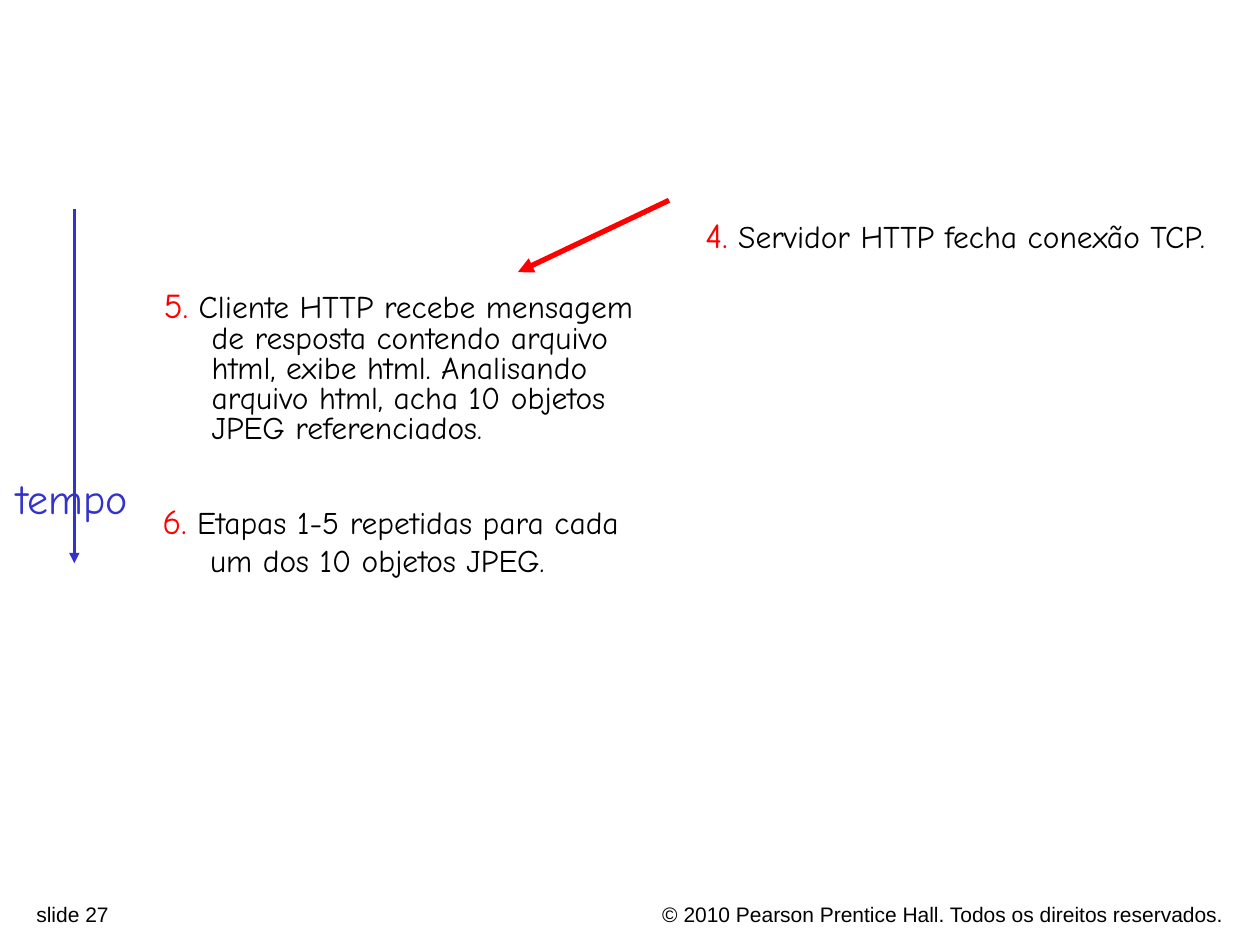
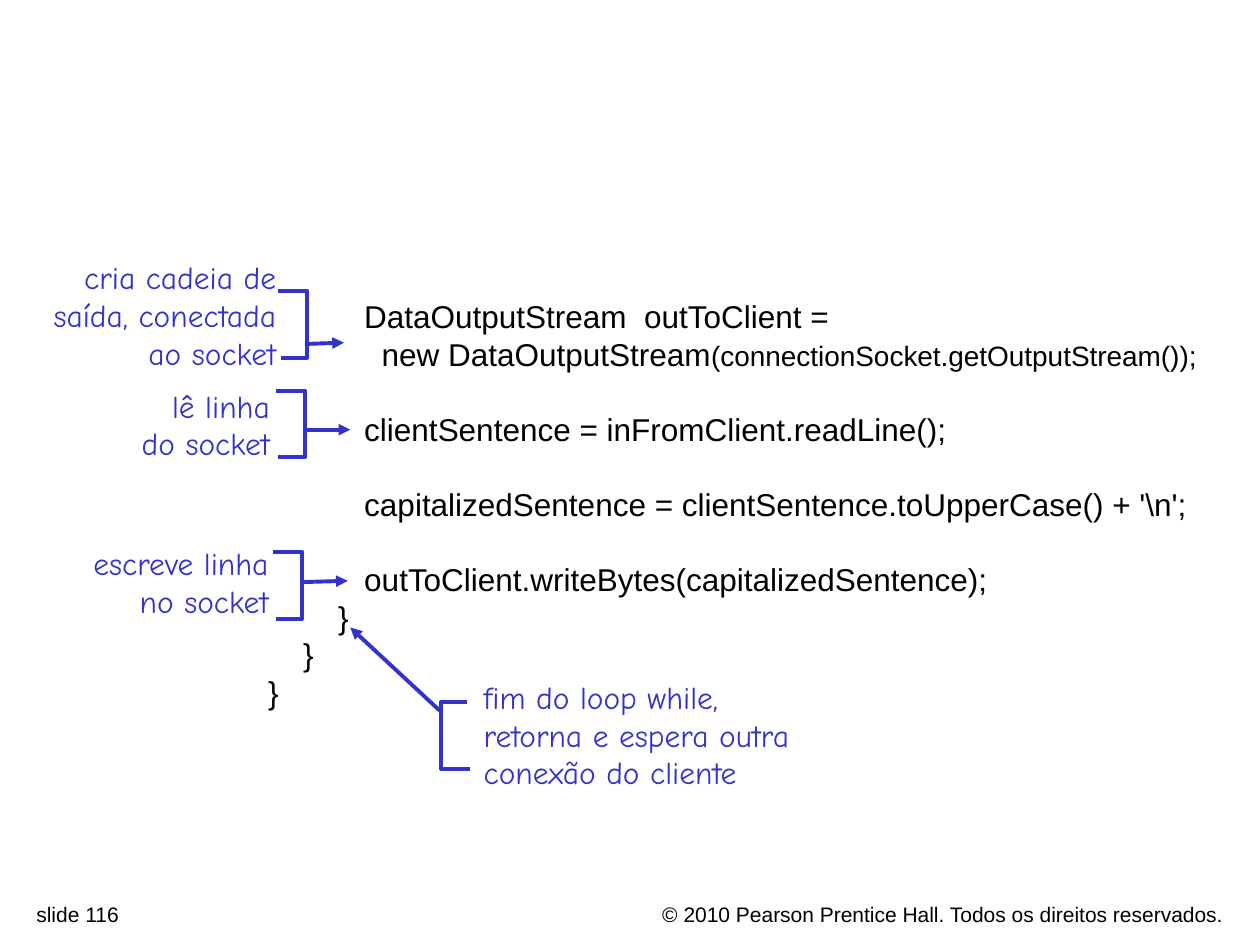
from lxml.etree import SubElement
from pptx import Presentation
from pptx.dml.color import RGBColor
from pptx.enum.shapes import MSO_CONNECTOR
from pptx.enum.text import MSO_ANCHOR as Anchor, MSO_AUTO_SIZE, PP_ALIGN as Align
from pptx.oxml.ns import qn
from pptx.util import Inches, Pt

BLACK, RED, BLUE = "000000", "FF0000", "3333CC"
SANS, COMIC = "Arial", "Comic Neue"
LINE = 21.5  # line pitch of 18 pt text, in points
COPYRIGHT = "© 2010 Pearson Prentice Hall. Todos os direitos reservados."

# Steps: number, text, (left, top, width, height), line pitch
RECEIVE_STEP = ("5", "Cliente HTTP recebe mensagem de resposta contendo arquivo html, "
                "exibe html. Analisando arquivo html, acha 10 objetos JPEG referenciados.",
                (1.2, 2.29, 4.17, 1.6), 17.3)
OTHER_STEPS = [
    ("6", "Etapas 1-5 repetidas para cada um dos 10 objetos JPEG.",
     (1.19, 3.95, 4.17, 0.73), LINE),
    ("4", "Servidor HTTP fecha conexão TCP.", (5.5, 1.68, 4.17, 0.8), LINE),
]

# Each group of code lines is set off from the one before by one line
CODE_GROUPS = [
    ["           DataOutputStream  outToClient =",
     [("             new DataOutputStream", {}),
      ("(connectionSocket.getOutputStream());", {"size": 16})]],
    ["           clientSentence = inFromClient.readLine();"],
    ["           capitalizedSentence = clientSentence.toUpperCase() + '\\n';"],
    ["           outToClient.writeBytes(capitalizedSentence);",
     "        }", "    }", "}"],
]

# Labels: lines, box, alignment, bracket (tip x, spine x, top), arrow (start, end)
CODE_LABELS = [
    (["cria cadeia de", "saída, conectada", "ao socket"], (0, 2, 2.29, 1),
     Align.RIGHT, (2.21, 2.44, 2.31), ((2.42, 2.73), (2.73, 2.72))),
    (["lê linha", "do socket"], (1.02, 3.02, 1.22, 0.7),
     Align.RIGHT, (2.19, 2.42, 3.1), ((2.42, 3.41), (2.78, 3.41))),
    (["escreve linha", "no socket"], (0.63, 4.27, 1.6, 0.7),
     Align.RIGHT, (2.17, 2.4, 4.38), ((2.4, 4.62), (2.76, 4.61))),
    (["fim do loop while,", "retorna e espera outra", "conexão do cliente"],
     (3.74, 5.33, 2.64, 1), Align.LEFT, (3.71, 3.5, 5.57), ((3.49, 5.64), (2.78, 4.98))),
]


def rgb(color):
    return RGBColor.from_string(color)


def inches(values):
    return [Inches(value) for value in values]


def add_span(para, text, size=18, font=SANS, color=BLACK):
    span = para.add_run()
    span.text = text
    span.font.size = Pt(size)
    span.font.name = font
    span.font.color.rgb = rgb(color)


def prepare_frame(box, anchor=Anchor.TOP, wrap=True):
    frame = box.text_frame
    frame.auto_size = MSO_AUTO_SIZE.NONE
    frame.word_wrap = wrap
    frame.vertical_anchor = anchor
    return frame


def add_text(slide, lines, place, align=Align.LEFT, anchor=Anchor.TOP,
             wrap=True, pitch=None, **style):
    """Write lines, each a string or a list of (text, style) spans, in a new box."""
    frame = prepare_frame(slide.shapes.add_textbox(*inches(place)), anchor, wrap)
    for index, line in enumerate(lines):
        para = frame.add_paragraph() if index else frame.paragraphs[0]
        para.alignment = align
        if pitch:
            para.line_spacing = Pt(pitch)
        spans = [(line, {})] if isinstance(line, str) else line
        for text, own_style in spans:
            add_span(para, text, **{**style, **own_style})
    return frame


def add_arrow(slide, start, end, color=BLUE, width=2.25):
    arrow = slide.shapes.add_connector(MSO_CONNECTOR.STRAIGHT, *inches(start + end))
    arrow.line.color.rgb = rgb(color)
    arrow.line.width = Pt(width)
    SubElement(arrow.line._get_or_add_ln(), qn("a:tailEnd"), type="triangle")
    SubElement(arrow._element.spPr, qn("a:effectLst"))


def add_bracket(slide, tip, spine, top, height=0.53):
    bottom = top + height
    corners = [(spine, top), (spine, bottom), (tip + 0.02, bottom)]
    outline = slide.shapes.build_freeform(Inches(tip), Inches(top))
    outline.add_line_segments([inches(corner) for corner in corners], close=False)
    bracket = outline.convert_to_shape()
    bracket.shadow.inherit = False
    bracket.fill.background()
    bracket.line.color.rgb = rgb(BLUE)
    bracket.line.width = Pt(2.25)


def fill_step(box, number, text, pitch):
    """Write a red number and its text with a hanging indent."""
    para = prepare_frame(box).paragraphs[0]
    properties = para._p.get_or_add_pPr()
    properties.set("marL", str(Inches(0.38)))
    properties.set("indent", str(-Inches(0.38)))
    SubElement(properties, qn("a:buNone"))
    para.alignment = Align.LEFT
    para.line_spacing = Pt(pitch)
    para.space_before = Pt(0)
    add_span(para, number + ".", size=20, font=COMIC, color=RED)
    add_span(para, " " + text, font=COMIC)


def add_page(deck, layout, number):
    page = deck.slides.add_slide(deck.slide_layouts[layout])
    add_text(page, [COPYRIGHT], (4.7, 7.11, 5.11, 0.24), align=Align.RIGHT, size=12)
    add_text(page, [f"slide {number}"], (0.19, 7.11, 3.52, 0.23), size=12)
    return page


def build_http_page(deck):
    page = add_page(deck, 1, 27)
    title = page.shapes.title._element
    title.getparent().remove(title)

    number, text, place, pitch = RECEIVE_STEP
    body = page.placeholders[1]
    body.left, body.top, body.width, body.height = inches(place)
    fill_step(body, number, text, pitch)
    for number, text, place, pitch in OTHER_STEPS:
        fill_step(page.shapes.add_textbox(*inches(place)), number, text, pitch)

    add_arrow(page, (0.59, 1.66), (0.59, 4.47), width=1.5)
    add_text(page, ["tempo"], (0.03, 3.7, 1.09, 0.5), align=Align.CENTER,
             wrap=False, size=24, font=COMIC, color=BLUE)
    add_arrow(page, (5.31, 1.59), (4.11, 2.16), color=RED, width=3)


def build_code_page(deck):
    page = add_page(deck, 6, 116)
    code_lines = [line for group in CODE_GROUPS for line in group]
    frame = add_text(page, code_lines, (2.03, 2.31, 7.64, 3.4), wrap=False, pitch=LINE)
    first_line = 0
    for group in CODE_GROUPS[:-1]:
        first_line += len(group)
        frame.paragraphs[first_line].space_before = Pt(LINE)

    for lines, place, align, bracket, arrow in CODE_LABELS:
        add_text(page, lines, place, align=align, anchor=Anchor.MIDDLE, wrap=False,
                 pitch=LINE, font=COMIC, color=BLUE)
        add_bracket(page, *bracket)
        add_arrow(page, *arrow)


def main():
    deck = Presentation()
    deck.slide_width, deck.slide_height = inches((10, 7.5))
    build_http_page(deck)
    build_code_page(deck)
    deck.save("out.pptx")


if __name__ == "__main__":
    main()
